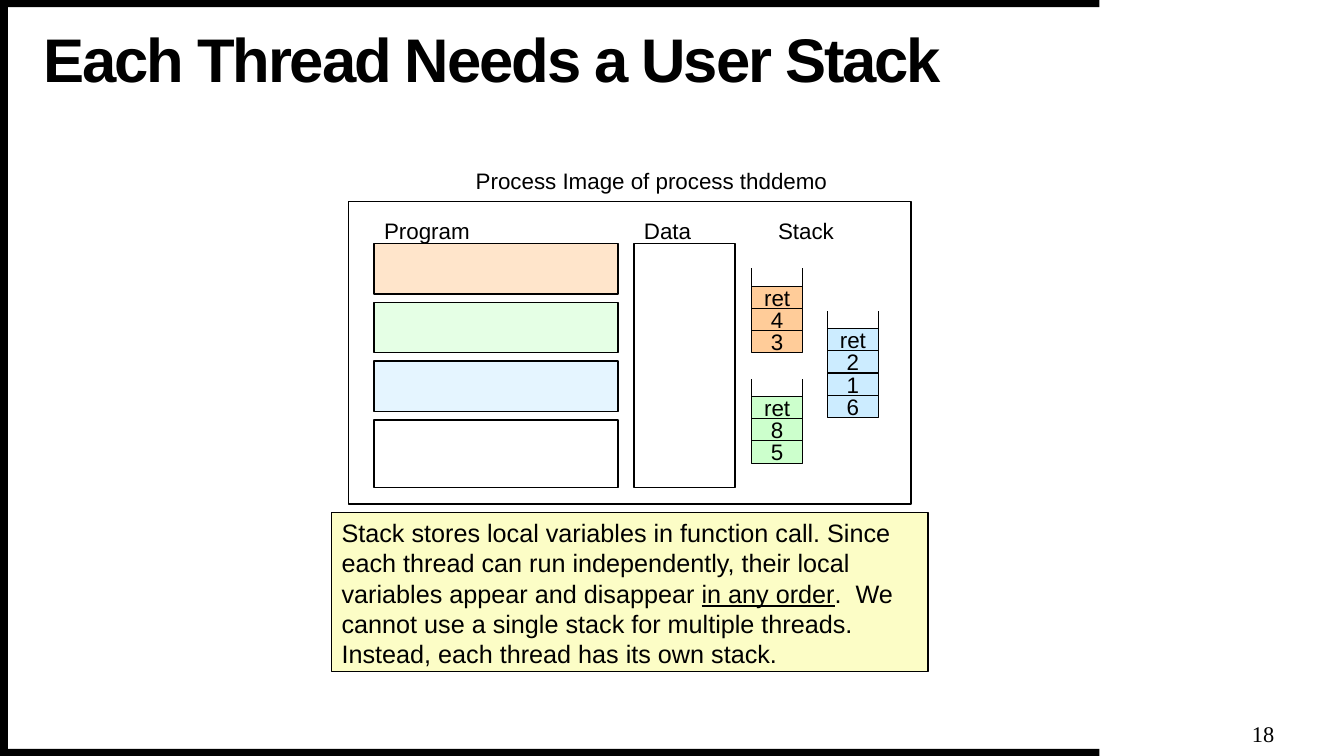
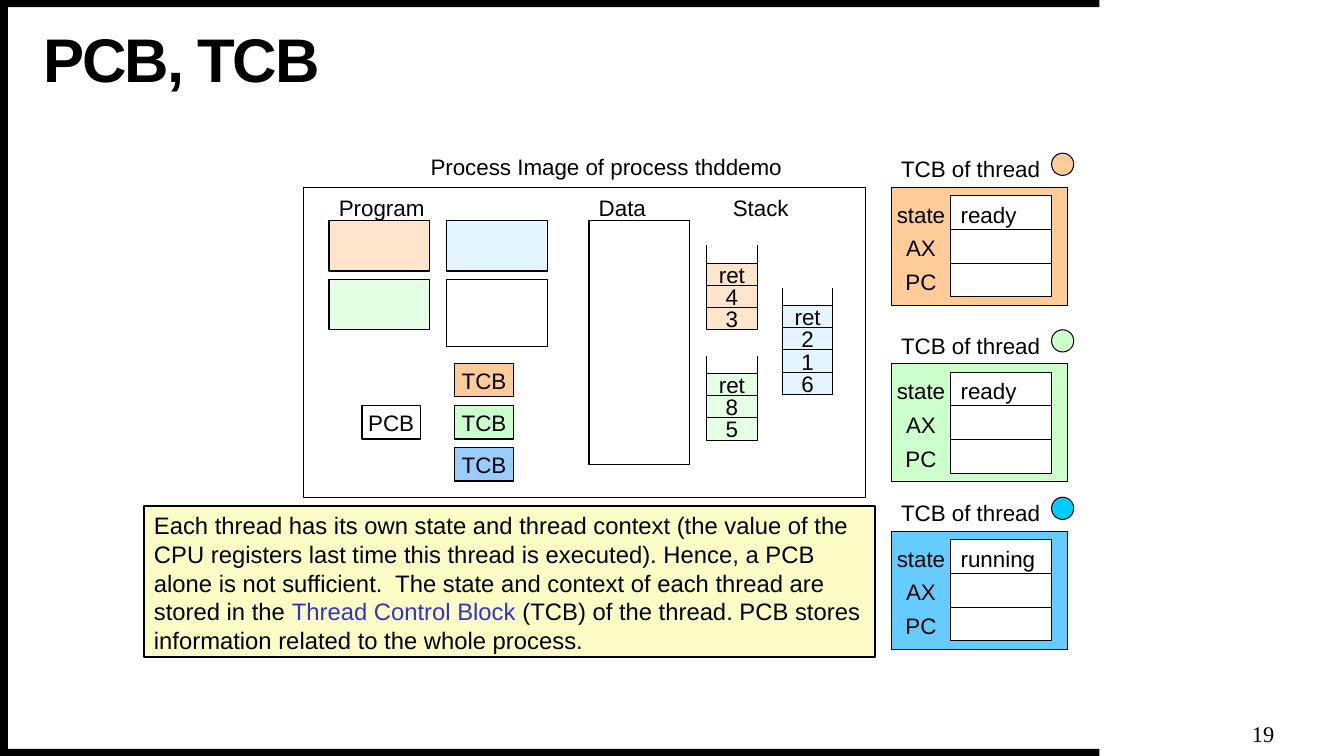
from lxml.etree import SubElement
from pptx import Presentation
from pptx.dml.color import RGBColor
from pptx.enum.shapes import MSO_CONNECTOR as Connector, MSO_SHAPE as Shape
from pptx.enum.text import MSO_ANCHOR as Anchor, PP_ALIGN as Align
from pptx.oxml.ns import qn
from pptx.util import Cm, Pt

BLACK, WHITE = "000000", "FFFFFF"
ORANGE, GREEN, BLUE = "FFCC99", "CCFFCC", "CCECFF"
NOTE_YELLOW, TERM_BLUE = "FCFDC6", "3333CC"
SANS, SERIF = "Arial", "Times New Roman"
BODY_SIZE = 16
THIN, MEDIUM = 0.75, 1
CELL_WIDTH, CELL_HEIGHT = 1.27, 0.56
THREAD_STACKS = (
    (10.16, 1.07, ORANGE, ("ret", "4", "3")),
    (10.16, 3.85, GREEN, ("ret", "8", "5")),
    (12.07, 2.14, BLUE, ("ret", "2", "1", "6")),
)


def paint(color_format, color):
    """Set a font, fill or line colour from a hex string."""
    color_format.rgb = RGBColor.from_string(color)


def add_box(page, left, top, width, height, fill, line=None, opacity=100, kind=Shape.RECTANGLE):
    """Add a flat preset shape, with an outline if a line width is given."""
    box = page.shapes.add_shape(kind, Cm(left), Cm(top), Cm(width), Cm(height))
    box.shadow.inherit = False
    box.fill.solid()
    paint(box.fill.fore_color, fill)
    if opacity < 100:
        color = box.element.spPr.find(qn("a:solidFill"))[0]
        SubElement(color, qn("a:alpha")).set("val", str(opacity * 1000))
    if line:
        paint(box.line.color, BLACK)
        box.line.width = Pt(line)
    else:
        box.line.fill.background()
    return box


def write(box, text, align=Align.LEFT, anchor=Anchor.MIDDLE, size=BODY_SIZE, font=SANS,
          inset=(0.25, 0.13), wrap=False):
    """Write one black paragraph into a shape and return it."""
    frame = box.text_frame
    frame.word_wrap = wrap
    frame.vertical_anchor = anchor
    frame.margin_left = frame.margin_right = Cm(inset[0])
    frame.margin_top = frame.margin_bottom = Cm(inset[1])
    para = frame.paragraphs[0]
    para.text = text
    para.alignment = align
    para.font.name = font
    para.font.size = Pt(size)
    paint(para.font.color, BLACK)
    return para


def add_label(page, left, top, width, height, text, **style):
    """Add a text box holding one paragraph."""
    box = page.shapes.add_textbox(Cm(left), Cm(top), Cm(width), Cm(height))
    return write(box, text, **style)


def add_page(deck, title, number):
    """Add a page with the shared bands, title and page number."""
    page = deck.slides.add_slide(deck.slide_layouts[6])
    for left, top, width, height in ((0, 18.87, 27.71, 0.18), (0, 0, 27.71, 0.18), (0, 0, 0.2, 19.05)):
        add_box(page, left, top, width, height, BLACK)
    para = add_label(page, 1.09, 0.64, 25.55, 1.88, title, size=44, inset=(0, 0), wrap=True)
    para.line_spacing = 0.9
    para.font.bold = True
    para.runs[0]._r.get_or_add_rPr().set("spc", "-150")
    add_label(page, 31.45, 18.11, 0.76, 0.76, str(number), font=SERIF, align=Align.CENTER, inset=(0, 0))
    return page


def add_stack(page, left, top, fill, values, opacity):
    """Draw an open-topped stack of values, its first cell at the given corner."""
    for row, value in enumerate(values):
        cell = add_box(page, left, top + row * CELL_HEIGHT, CELL_WIDTH, CELL_HEIGHT, fill, THIN, opacity)
        write(cell, value, align=Align.CENTER, inset=(0, 0))
    for x in (left, left + CELL_WIDTH):
        wall = page.shapes.add_connector(Connector.STRAIGHT, Cm(x), Cm(top + 0.11), Cm(x), Cm(top - 0.45))
        paint(wall.line.color, BLACK)
        wall.line.width = Pt(THIN)
        SubElement(wall.element.spPr, qn("a:effectLst"))


def add_process_image(page, left, top, height, column_offset, block_width, block_rows, stack_opacity):
    """Draw the process image with its program, data and stack columns."""
    add_box(page, left, top, 14.17, height, WHITE, MEDIUM)
    add_label(page, left + 2.95, top - 0.84, 9.5, 0.64, "Process Image of process thddemo")
    column_top = top + column_offset
    blocks = ((ORANGE, 50, 1.27), (GREEN, 50, 1.27), (BLUE, 50, 1.27), (WHITE, 100, 1.7))
    for index, (fill, opacity, block_height) in enumerate(blocks):
        column, row = divmod(index, block_rows)
        add_box(page, left + 0.64 + column * 2.97, column_top + row * 1.48,
                block_width, block_height, fill, MEDIUM, opacity)
    add_box(page, left + 7.19, column_top, 2.54, 6.15, WHITE, MEDIUM)
    for x, heading in ((0.64, "Program"), (7.19, "Data"), (10.57, "Stack")):
        add_label(page, left + x, column_top - 0.64, 3, 0.64, heading)
    for x, y, fill, values in THREAD_STACKS:
        add_stack(page, left + x, column_top + y, fill, values, stack_opacity)


def add_control_blocks(page, left, top):
    """Draw the PCB beside a column of three TCBs."""
    pitch = 1.06
    blocks = [(left, top + pitch, WHITE, "PCB")]
    blocks += [(left + 2.34, top + row * pitch, fill, "TCB")
               for row, fill in enumerate((ORANGE, GREEN, "99CCFF"))]
    for x, y, fill, name in blocks:
        block = add_box(page, x, y, 1.48, 0.84, fill, MEDIUM)
        write(block, name, align=Align.CENTER, inset=(0, 0))


def add_thread_panel(page, left, top, fill, marker_fill, state):
    """Draw the TCB of one thread with its marker and three fields."""
    add_box(page, left, top, 4.44, 2.97, fill, THIN)
    add_label(page, left, top - 0.94, 4.88, 0.94, "TCB of thread", anchor=Anchor.TOP)
    add_box(page, left + 4.04, top - 0.86, 0.56, 0.56, marker_fill, THIN, kind=Shape.OVAL)
    for row, (name, value) in enumerate((("state", state), ("AX", ""), ("PC", ""))):
        y = top + 0.21 + row * 0.85
        field = add_box(page, left + 1.5, y, 2.54, 0.85, WHITE, THIN)
        if value:
            write(field, value, anchor=Anchor.TOP)
        add_label(page, left, y, 1.5, 0.85, name, align=Align.CENTER, anchor=Anchor.TOP, inset=(0, 0.13))


def add_note(page, left, top, width, height, size, before, key_term, after):
    """Add a yellow note and return the run of its key term."""
    box = add_box(page, left, top, width, height, NOTE_YELLOW, MEDIUM)
    para = write(box, before, anchor=Anchor.TOP, size=size, wrap=True)
    term, rest = para.add_run(), para.add_run()
    term.text, rest.text = key_term, after
    return term


def build_stack_page(deck):
    """Build the page on user stacks."""
    page = add_page(deck, "Each Thread Needs a User Stack", 18)
    add_process_image(page, 8.79, 5.08, 7.62, 1.06, 6.15, 4, 100)
    term = add_note(
        page, 8.36, 12.91, 15.03, 4.02, 18,
        "Stack stores local variables in function call. Since each thread can run independently, "
        "their local variables appear and disappear ",
        "in any order",
        ".  We cannot use a single stack for multiple threads.  Instead, each thread has its own stack.")
    term.font.underline = True


def build_control_block_page(deck):
    """Build the page on process and thread control blocks."""
    page = add_page(deck, "PCB, TCB", 19)
    add_process_image(page, 7.65, 4.72, 7.82, 0.84, 2.54, 2, 50)
    add_control_blocks(page, 9.12, 9.16)
    panels = ((4.72, ORANGE, ORANGE, "ready"), (9.17, GREEN, GREEN, "ready"),
              (13.39, "66CCFF", "00CCFF", "running"))
    for top, fill, marker_fill, state in panels:
        add_thread_panel(page, 22.46, top, fill, marker_fill, state)
    term = add_note(
        page, 3.63, 12.75, 18.42, 3.81, 17,
        "Each thread has its own state and thread context (the value of the CPU registers last time "
        "this thread is executed). Hence, a PCB alone is not sufficient.  The state and context of "
        "each thread are stored in the ",
        "Thread Control Block",
        " (TCB) of the thread. PCB stores information related to the whole process.")
    paint(term.font.color, TERM_BLUE)


def main():
    """Build and save the deck."""
    deck = Presentation()
    deck.slide_width, deck.slide_height = Cm(33.87), Cm(19.05)
    build_stack_page(deck)
    build_control_block_page(deck)
    deck.save("out.pptx")


if __name__ == "__main__":
    main()
